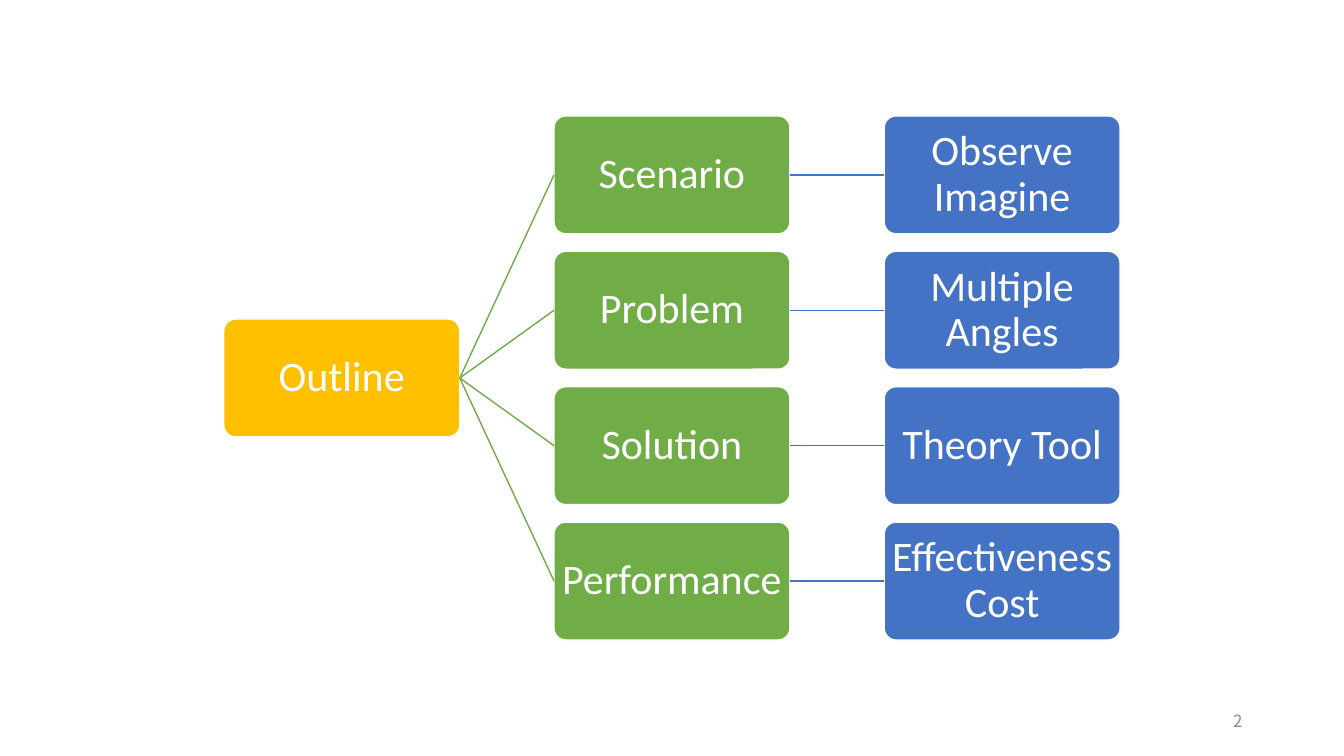
from dataclasses import dataclass

from lxml import etree
from pptx import Presentation
from pptx.dml.color import RGBColor
from pptx.enum import shapes, text
from pptx.oxml.ns import qn
from pptx.util import Inches, Pt


@dataclass(frozen=True)
class Theme:
    """Colours, fonts and type sizes of the slide."""
    root: RGBColor = RGBColor(0xFF, 0xC0, 0x00)
    topic: RGBColor = RGBColor(0x70, 0xAD, 0x47)
    detail: RGBColor = RGBColor(0x44, 0x72, 0xC4)
    white: RGBColor = RGBColor(0xFF, 0xFF, 0xFF)
    grey: RGBColor = RGBColor(0x8C, 0x8C, 0x8C)
    node_font: str = "Calibri"
    number_font: str = "Noto Sans CJK SC"
    node_size: int = 30
    number_size: int = 12


THEME = Theme()
NODE_WIDTH, NODE_HEIGHT = 2.34, 1.17
TOPICS = {
    "Scenario": "Observe Imagine",
    "Problem": "Multiple Angles",
    "Solution": "Theory Tool",
    "Performance": "Effectiveness Cost",
}


def style_text(paragraph, font, size, colour, alignment):
    """Format a paragraph whose runs all agree."""
    paragraph.alignment = alignment
    paragraph.font.name = font
    paragraph.font.size = Pt(size)
    paragraph.font.color.rgb = colour


def add_node(slide, label, left, top, colour):
    """Add one rounded box of the tree."""
    node = slide.shapes.add_shape(
        shapes.MSO_SHAPE.ROUNDED_RECTANGLE,
        Inches(left), Inches(top), Inches(NODE_WIDTH), Inches(NODE_HEIGHT))
    node.adjustments[0] = 0.1
    node.shadow.inherit = False
    node.fill.solid()
    node.fill.fore_color.rgb = colour
    node.line.color.rgb = THEME.white
    node.line.width = Pt(1)
    frame = node.text_frame
    frame.word_wrap = True
    frame.vertical_anchor = text.MSO_ANCHOR.MIDDLE
    frame.margin_left = frame.margin_right = Inches(0.02)
    frame.margin_top = frame.margin_bottom = Inches(0.02)
    frame.text = label
    paragraph = frame.paragraphs[0]
    paragraph.line_spacing = 0.9
    style_text(paragraph, THEME.node_font, THEME.node_size, THEME.white, text.PP_ALIGN.CENTER)
    return node


def add_branch(slide, parent, child, colour):
    """Join the right side of a parent to the left side of its child."""
    branch = slide.shapes.add_connector(
        shapes.MSO_CONNECTOR.STRAIGHT,
        parent.left + parent.width, parent.top + parent.height // 2,
        child.left, child.top + child.height // 2)
    branch.begin_connect(parent, 3)
    branch.end_connect(child, 1)
    branch.line.color.rgb = colour
    branch.line.width = Pt(1)
    etree.SubElement(branch.element.spPr, qn("a:effectLst"))


def add_tree(slide, left, top, width, height):
    """Spread the outline tree over three columns of the given box."""
    column_step = (width - NODE_WIDTH) / 2
    row_step = (height - NODE_HEIGHT) / (len(TOPICS) - 1)
    root = add_node(slide, "Outline", left, top + (height - NODE_HEIGHT) / 2, THEME.root)
    for row, (topic, detail) in enumerate(TOPICS.items()):
        row_top = top + row * row_step
        topic_node = add_node(slide, topic, left + column_step, row_top, THEME.topic)
        detail_node = add_node(slide, detail, left + 2 * column_step, row_top, THEME.detail)
        add_branch(slide, root, topic_node, THEME.topic)
        add_branch(slide, topic_node, detail_node, THEME.detail)


def add_slide_number(slide, number, left, top, width, height):
    """Add the page number, right-aligned in the given box."""
    box = slide.shapes.add_textbox(Inches(left), Inches(top), Inches(width), Inches(height))
    frame = box.text_frame
    frame.word_wrap = True
    frame.vertical_anchor = text.MSO_ANCHOR.MIDDLE
    frame.text = number
    style_text(frame.paragraphs[0], THEME.number_font, THEME.number_size,
               THEME.grey, text.PP_ALIGN.RIGHT)


def main():
    """Build and save the outline slide."""
    presentation = Presentation()
    presentation.slide_width = Inches(13.33)
    presentation.slide_height = Inches(7.5)
    slide = presentation.slides.add_slide(presentation.slide_layouts.get_by_name("Blank"))
    add_tree(slide, left=2.22, top=1.15, width=8.89, height=5.2)
    add_slide_number(slide, "2", left=9.42, top=6.95, width=3, height=0.4)
    presentation.save("out.pptx")


if __name__ == "__main__":
    main()
